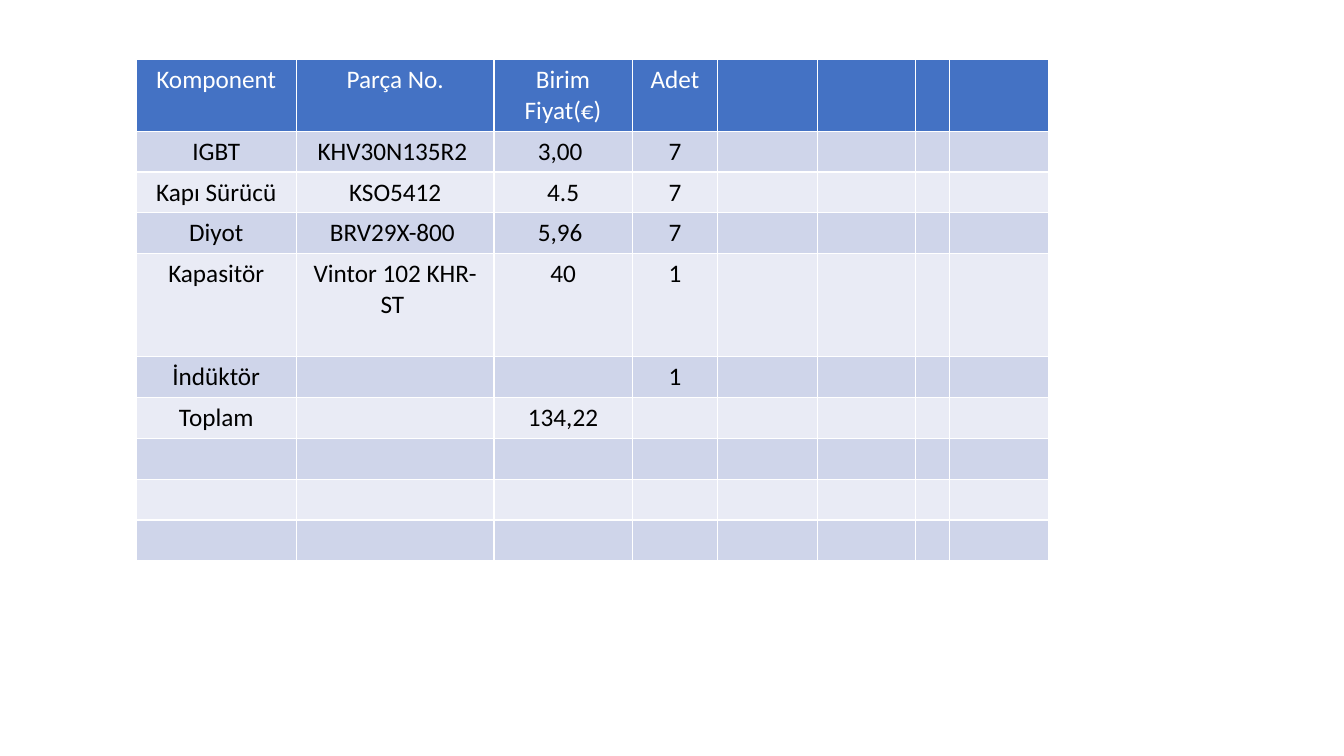
"""Build a slide with a table of component prices."""
from pptx import Presentation
from pptx.dml.color import RGBColor
from pptx.enum.text import PP_ALIGN
from pptx.util import Inches, Pt

CENTER = PP_ALIGN.CENTER
COLORS = {"header": "4472C4", "odd": "CFD5EA", "even": "E9EBF5",
          "header_text": "FFFFFF", "body_text": "000000"}
FONT, FONT_SIZE = "Calibri", 18
ROWS = [
    ("Komponent", "Parça No.", "Birim Fiyat(€)", "Adet"),
    ("IGBT", "KHV30N135R2 ", "3,00 ", "7"),
    ("Kapı Sürücü", "KSO5412", "4.5", "7"),
    ("Diyot", "BRV29X-800 ", "5,96 ", "7"),
    ("Kapasitör", "Vintor 102 KHR-ST ", "40", "1"),
    ("İndüktör", "", "", "1"),
    ("Toplam", "", "134,22", ""),
    (), (), (),
]
COLUMN_WIDTHS = (1.59, 1.96, 1.37, 0.85, 0.99, 0.97, 0.34, 0.98)
ROW_HEIGHT = 0.4
TALL_ROWS = {0: 0.71, 4: 1.02}
LEFT, TOP = 1.35, 0.59
MARGIN_X, MARGIN_Y = 0.13, 0.05


def color(name):
    return RGBColor.from_string(COLORS[name])


def fill_cell(cell, text, band):
    cell.fill.solid()
    cell.fill.fore_color.rgb = color(band)
    cell.margin_left = cell.margin_right = Inches(MARGIN_X)
    cell.margin_top = cell.margin_bottom = Inches(MARGIN_Y)
    cell.text = text
    para = cell.text_frame.paragraphs[0]
    para.alignment = CENTER
    para.font.name = FONT
    para.font.size = Pt(FONT_SIZE)
    para.font.bold = False
    para.font.color.rgb = color("header_text" if band == "header" else "body_text")


def main():
    deck = Presentation()
    deck.slide_width, deck.slide_height = Inches(13.33), Inches(7.5)
    page = deck.slides.add_slide(deck.slide_layouts[6])

    heights = [TALL_ROWS.get(row, ROW_HEIGHT) for row in range(len(ROWS))]
    table = page.shapes.add_table(
        len(ROWS), len(COLUMN_WIDTHS), Inches(LEFT), Inches(TOP),
        Inches(sum(COLUMN_WIDTHS)), Inches(sum(heights))).table
    for column, width in zip(table.columns, COLUMN_WIDTHS):
        column.width = Inches(width)

    for index, texts in enumerate(ROWS):
        table.rows[index].height = Inches(heights[index])
        band = "header" if index == 0 else ("even", "odd")[index % 2]
        for place in range(len(COLUMN_WIDTHS)):
            text = texts[place] if place < len(texts) else ""
            fill_cell(table.cell(index, place), text, band)

    deck.save("out.pptx")


if __name__ == "__main__":
    main()
